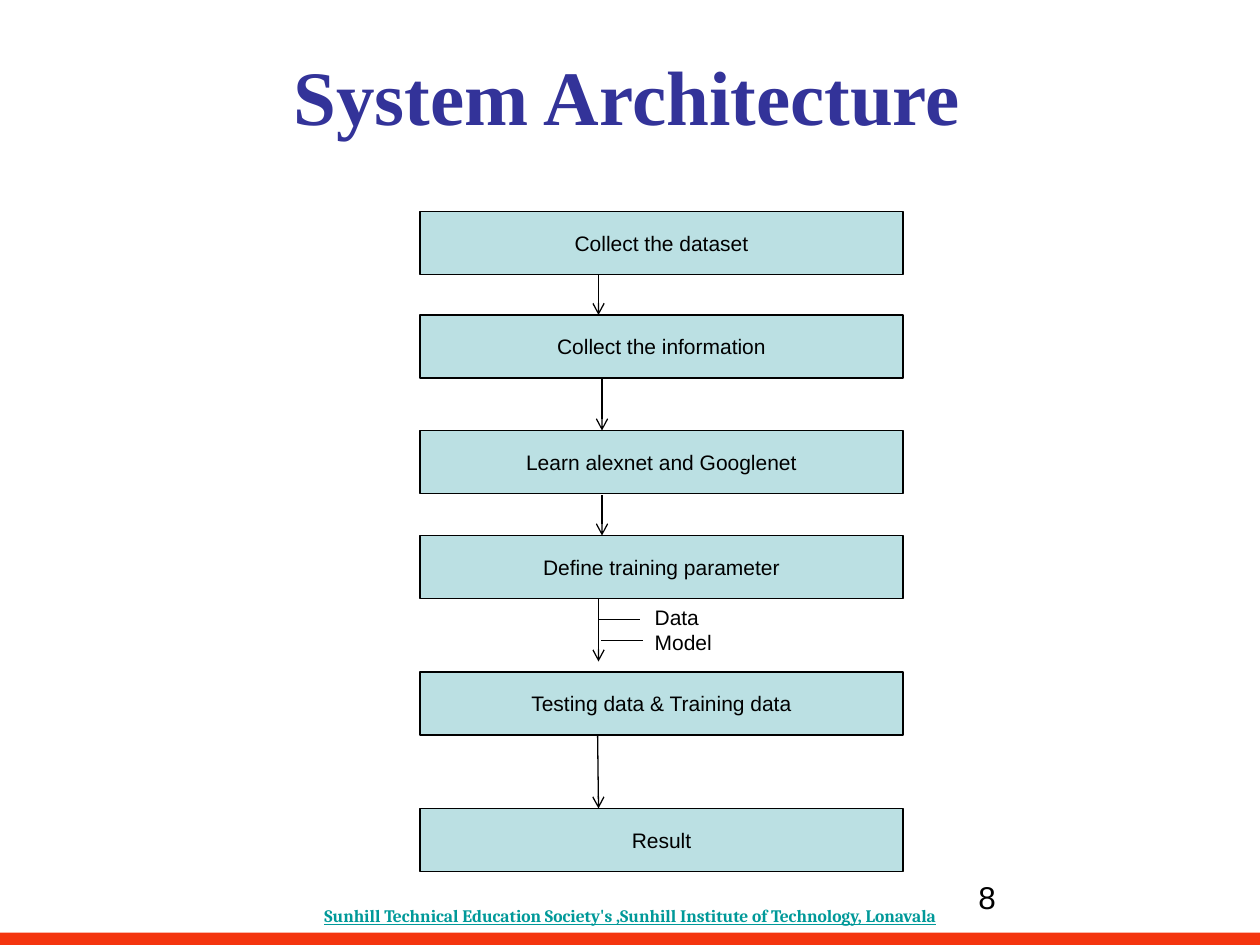
from typing import NamedTuple

from lxml.etree import SubElement
from pptx import Presentation
from pptx.dml.color import RGBColor
from pptx.enum.shapes import MSO_CONNECTOR as CONN, MSO_SHAPE as SHAPE
from pptx.enum.text import MSO_ANCHOR as ANCHOR, PP_ALIGN as ALIGN
from pptx.oxml.ns import qn
from pptx.util import Pt

BLACK = RGBColor(0x00, 0x00, 0x00)
NAVY = RGBColor(0x33, 0x33, 0x99)
PALE_BLUE = RGBColor(0xBB, 0xE0, 0xE3)
TEAL = RGBColor(0x00, 0x99, 0x99)
RED = RGBColor(0xF4, 0x35, 0x0F)

BOX_LEFT, BOX_WIDTH, BOX_HEIGHT = 240, 276, 36


class Step(NamedTuple):
    label: str
    top: float


class Line(NamedTuple):
    x1: float
    y1: float
    x2: float
    y2: float
    arrow: bool = True


STEPS = [
    Step("Collect the dataset", 121),
    Step("Collect the information", 180),
    Step("Learn alexnet and Googlenet", 246),
    Step("Define training parameter", 306),
    Step("Testing data & Training data", 384),
    Step("Result", 462),
]

LINES = [
    Line(342, 157, 342, 180),
    Line(344, 216, 344, 246),
    Line(344, 283, 344, 306),
    Line(342, 342, 342, 378),
    Line(341.5, 420, 342, 462),
    # Branches to the data and model labels
    Line(342, 354, 366, 354, arrow=False),
    Line(343.5, 366, 367.5, 366, arrow=False),
]


def style_text(tf, size: float, color: RGBColor = BLACK, font: str = "Arial",
               bold: bool = False, underline: bool = False, align=ALIGN.LEFT) -> None:
    for p in tf.paragraphs:
        p.alignment = align
        for r in p.runs:
            f = r.font
            f.name, f.size, f.bold, f.underline = font, Pt(size), bold, underline
            f.color.rgb = color


def add_text(slide, text: str, left: float, top: float, width: float, height: float,
             wrap: bool = True):
    tf = slide.shapes.add_textbox(Pt(left), Pt(top), Pt(width), Pt(height)).text_frame
    tf.word_wrap = wrap
    tf.text = text
    return tf


def add_rect(slide, left: float, top: float, width: float, height: float, fill: RGBColor):
    sp = slide.shapes.add_shape(SHAPE.RECTANGLE, Pt(left), Pt(top), Pt(width), Pt(height))
    sp.shadow.inherit = False
    sp.fill.solid()
    sp.fill.fore_color.rgb = fill
    sp.line.fill.background()
    return sp


def add_step(slide, step: Step) -> None:
    sp = add_rect(slide, BOX_LEFT, step.top, BOX_WIDTH, BOX_HEIGHT, PALE_BLUE)
    sp.line.color.rgb = BLACK
    sp.line.width = Pt(0.75)
    tf = sp.text_frame
    tf.text = step.label
    tf.vertical_anchor = ANCHOR.MIDDLE
    style_text(tf, 12, align=ALIGN.CENTER)


def add_line(slide, line: Line) -> None:
    cn = slide.shapes.add_connector(CONN.STRAIGHT, Pt(line.x1), Pt(line.y1),
                                    Pt(line.x2), Pt(line.y2))
    cn.line.color.rgb = BLACK
    cn.line.width = Pt(0.75)
    if line.arrow:
        SubElement(cn.line._get_or_add_ln(), qn("a:tailEnd"), type="arrow")
    SubElement(cn._element.spPr, qn("a:effectLst"))


def main() -> None:
    prs = Presentation()
    prs.slide_width, prs.slide_height = Pt(720), Pt(540)
    slide = prs.slides.add_slide(prs.slide_layouts[5])

    # Footer
    add_rect(slide, 0, 533, 720, 7, RED)
    tf = add_text(slide, "Sunhill Technical Education Society's ,Sunhill Institute of "
                  "Technology, Lonavala", 24, 516, 672, 17)
    style_text(tf, 10, TEAL, "Cambria", bold=True, underline=True, align=ALIGN.CENTER)
    tf.paragraphs[0].line_spacing = 0.8
    style_text(add_text(slide, "8", 552, 498, 168, 37), 18)

    # Title
    title = slide.shapes.title
    title.left, title.top, title.width, title.height = Pt(0), Pt(24), Pt(708), Pt(111)
    tf = title.text_frame
    tf.text = "System Architecture"
    tf.vertical_anchor = ANCHOR.TOP
    tf.margin_left = Pt(16)
    style_text(tf, 44, NAVY, "Times New Roman", bold=True, align=ALIGN.CENTER)

    # Flow chart
    for step in STEPS:
        add_step(slide, step)
    for line in LINES:
        add_line(slide, line)
    style_text(add_text(slide, "Data\nModel", 367, 342, 48, 36, wrap=False), 12)

    prs.save("out.pptx")


if __name__ == "__main__":
    main()
